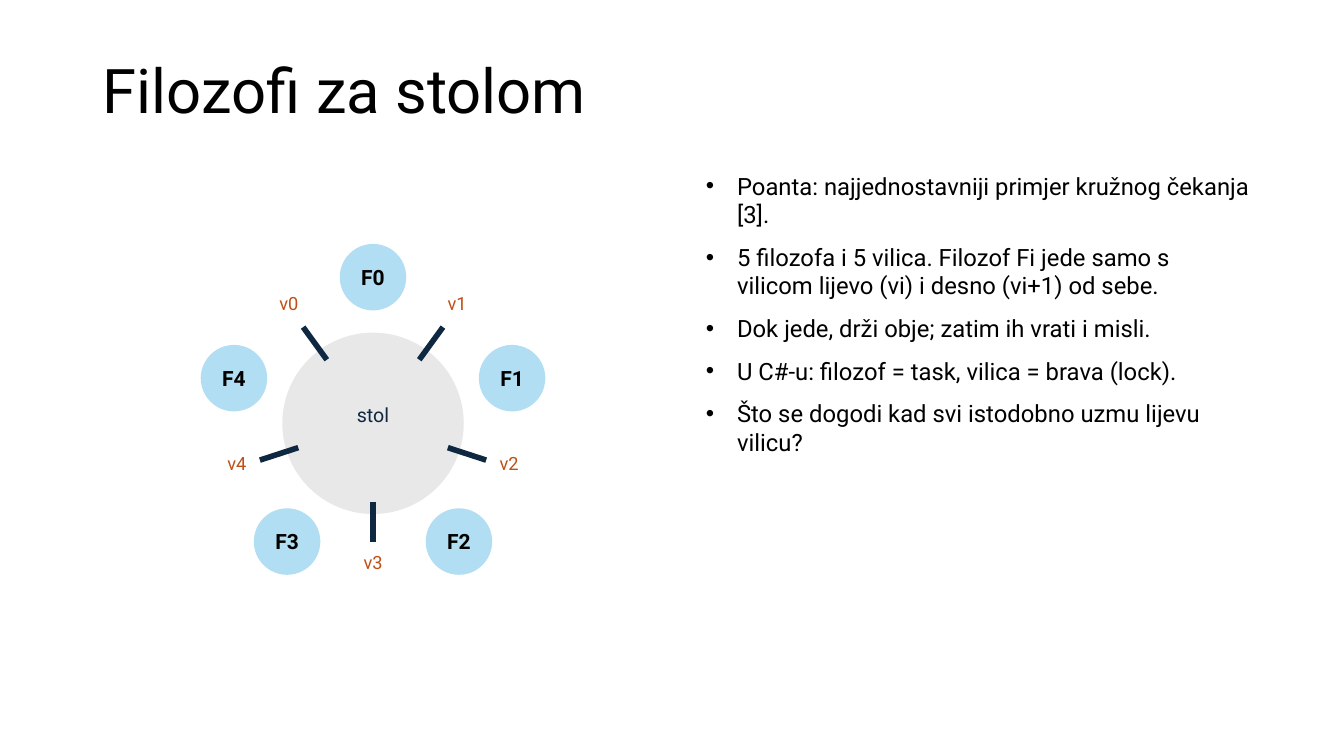
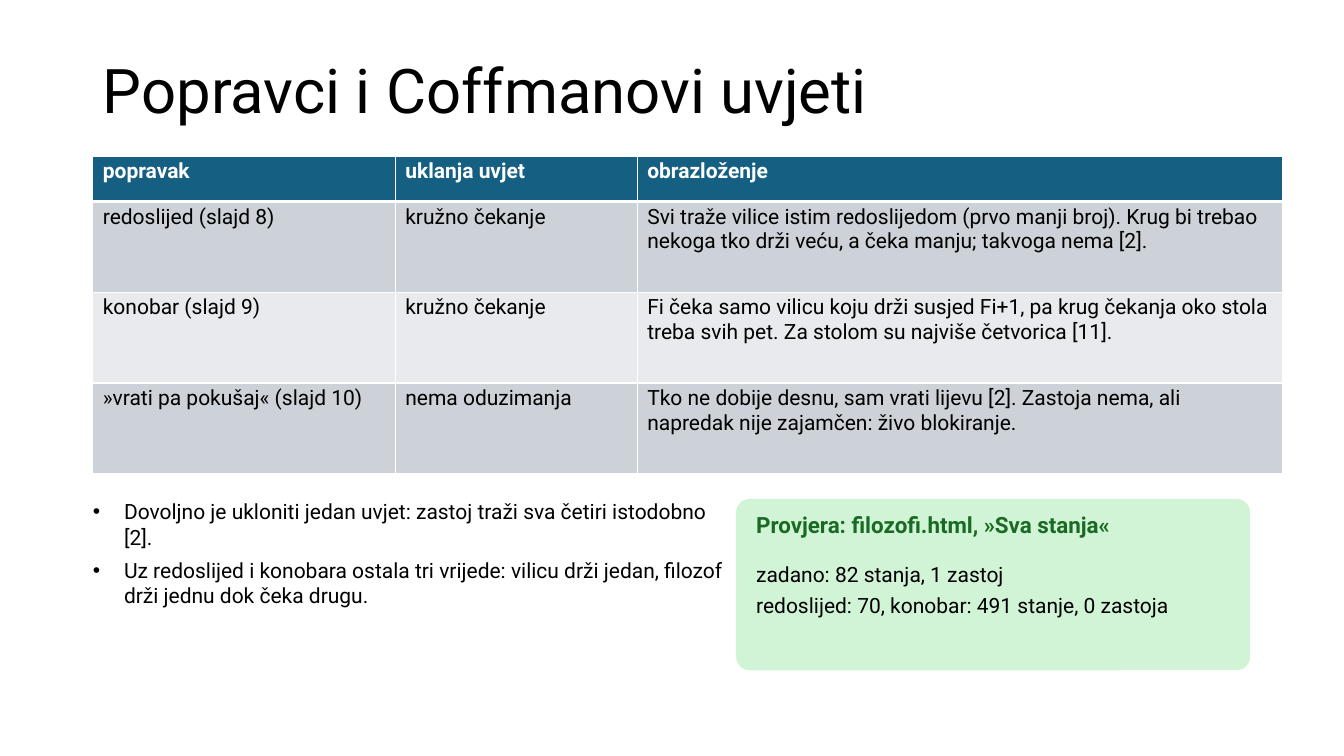
import math
import pptx
import pptx.util
import pptx.dml.color
import pptx.enum.shapes
import pptx.enum.text
import pptx.oxml
import pptx.oxml.ns

Inches = pptx.util.Inches
Pt = pptx.util.Pt
SHAPE = pptx.enum.shapes.MSO_SHAPE
ALIGN = pptx.enum.text.PP_ALIGN
ANCHOR = pptx.enum.text.MSO_ANCHOR

FONT = "Roboto"
BLACK, WHITE, NAVY = "000000", "FFFFFF", "0E2841"
GREY, SKY, RUST = "E8E8E8", "B2DEF3", "C04F15"
TEAL, MINT, GREEN = "156082", "D1F4D6", "196B24"
BANDS = "CCD2D8", "E8EAED"

RING = {
    "title": "Filozofi za stolom",
    "points": [
        "Poanta: najjednostavniji primjer kružnog čekanja [3].",
        "5 filozofa i 5 vilica. Filozof Fi jede samo s vilicom lijevo (vi) i desno (vi+1) od sebe.",
        "Dok jede, drži obje; zatim ih vrati i misli.",
        "U C#-u: filozof = task, vilica = brava (lock).",
        "Što se dogodi kad svi istodobno uzmu lijevu vilicu?",
    ],
    "box": (7, 1.7, 5.4, 4.8),
    "size": 17,
    "after": 10,
}
FIXES = {
    "title": "Popravci i Coffmanovi uvjeti",
    "points": [
        "Dovoljno je ukloniti jedan uvjet: zastoj traži sva četiri istodobno [2].",
        "Uz redoslijed i konobara ostala tri vrijede: vilicu drži jedan, filozof drži jednu dok čeka drugu.",
    ],
    "box": (0.92, 4.95, 6.4, 1.7),
    "size": 15,
    "after": 6,
}
ROWS = [
    ("popravak", "uklanja uvjet", "obrazloženje"),
    ("redoslijed (slajd 8)", "kružno čekanje",
     "Svi traže vilice istim redoslijedom (prvo manji broj). Krug bi trebao "
     "nekoga tko drži veću, a čeka manju; takvoga nema [2]."),
    ("konobar (slajd 9)", "kružno čekanje",
     "Fi čeka samo vilicu koju drži susjed Fi+1, pa krug čekanja oko stola "
     "treba svih pet. Za stolom su najviše četvorica [11]."),
    ("»vrati pa pokušaj« (slajd 10)", "nema oduzimanja",
     "Tko ne dobije desnu, sam vrati lijevu [2]. Zastoja nema, ali napredak "
     "nije zajamčen: živo blokiranje."),
]
WIDTHS = 3, 2.4, 6.4
HEIGHTS = 0.45, 0.9, 0.9, 0.9
CHECK = "Provjera: filozofi.html, »Sva stanja«"
COUNTS = ["zadano: 82 stanja, 1 zastoj", "redoslijed: 70, konobar: 491 stanje, 0 zastoja"]

SEATS = 5
HUB = 3.7, 4.2
SEAT_R, FORK_IN, FORK_OUT, TAG_R = 1.45, 0.78, 1.18, 1.42


def color(code):
    return pptx.dml.color.RGBColor.from_string(code)


def place(shape, box):
    shape.left, shape.top, shape.width, shape.height = map(Inches, box)


def inset(frame, side, edge):
    frame.margin_left = frame.margin_right = Inches(side)
    frame.margin_top = frame.margin_bottom = Inches(edge)


def write(frame, lines, size, code=BLACK, bold=False, align=ALIGN.LEFT, after=0):
    frame.text = "\n".join(lines)
    frame.word_wrap = True
    for para in frame.paragraphs:
        para.alignment = align
        para.space_before = Pt(0)
        para.space_after = Pt(after)
        for run in para.runs:
            font = run.font
            font.name, font.size, font.bold = FONT, Pt(size), bold
            font.color.rgb = color(code)


def label(slide, box, lines, size, code=BLACK, **style):
    frame = slide.shapes.add_textbox(*map(Inches, box)).text_frame
    inset(frame, 0, 0)
    write(frame, lines, size, code, **style)


def block(slide, kind, box, fill):
    shape = slide.shapes.add_shape(kind, *map(Inches, box))
    shape.shadow.inherit = False
    shape.fill.solid()
    shape.fill.fore_color.rgb = color(fill)
    shape.line.fill.background()
    return shape


def start(deck, data):
    slide = deck.slides.add_slide(deck.slide_layouts[1])
    title, body = slide.placeholders
    place(title, (0.92, 0.4, 11.5, 1.06))
    write(title.text_frame, [data["title"]], 44)
    title.text_frame.vertical_anchor = ANCHOR.MIDDLE
    title.text_frame.paragraphs[0].line_spacing = 0.9
    place(body, data["box"])
    frame = body.text_frame
    frame.auto_size = pptx.enum.text.MSO_AUTO_SIZE.NONE
    inset(frame, 0, 0)
    write(frame, data["points"], data["size"], after=data["after"])
    for para in frame.paragraphs:
        props = para._p.get_or_add_pPr()
        props.set("marL", str(Inches(0.31)))
        props.set("indent", str(-Inches(0.31)))
    return slide


def polar(radius, angle):
    turn = math.radians(angle)
    return HUB[0] + radius * math.cos(turn), HUB[1] + radius * math.sin(turn)


def around(point, width, height):
    return point[0] - width / 2, point[1] - height / 2, width, height


def draw_ring(slide):
    block(slide, SHAPE.OVAL, around(HUB, 1.8, 1.8), GREY)
    label(slide, around(HUB, 1, 0.4), ["stol"], 14, NAVY, align=ALIGN.CENTER)
    step = 360 / SEATS
    for i in range(SEATS):
        angle = step * i - 90
        seat = block(slide, SHAPE.OVAL, around(polar(SEAT_R, angle), 0.66, 0.66), SKY)
        inset(seat.text_frame, 0, 0.05)
        seat.text_frame.vertical_anchor = ANCHOR.MIDDLE
        write(seat.text_frame, [f"F{i}"], 15, bold=True, align=ALIGN.CENTER)
        angle -= step / 2
        ends = polar(FORK_IN, angle) + polar(FORK_OUT, angle)
        fork = slide.shapes.add_connector(
            pptx.enum.shapes.MSO_CONNECTOR.STRAIGHT, *map(Inches, ends))
        fork.line.color.rgb = color(NAVY)
        fork.line.width = Pt(4)
        fork._element.spPr.append(pptx.oxml.parse_xml(
            f"<a:effectLst {pptx.oxml.ns.nsdecls('a')}/>"))
        label(slide, around(polar(TAG_R, angle), 0.6, 0.3), [f"v{i}"], 13, RUST,
              align=ALIGN.CENTER)


def border(cell, low):
    props = cell._tc.get_or_add_tcPr()
    for at, (side, width) in enumerate(zip("LRTB", (1, 1, 1, low))):
        props.insert(at, pptx.oxml.parse_xml(
            f'<a:ln{side} {pptx.oxml.ns.nsdecls("a")} w="{Pt(width)}"><a:solidFill>'
            f'<a:srgbClr val="{WHITE}"/></a:solidFill></a:ln{side}>'))


def draw_table(slide):
    box = 0.92, 1.55, sum(WIDTHS), sum(HEIGHTS)
    table = slide.shapes.add_table(len(ROWS), len(WIDTHS), *map(Inches, box)).table
    for column, width in zip(table.columns, WIDTHS):
        column.width = Inches(width)
    for r, texts in enumerate(ROWS):
        table.rows[r].height = Inches(HEIGHTS[r])
        head = r == 0
        for c, text in enumerate(texts):
            cell = table.cell(r, c)
            inset(cell, 0.1, 0.03)
            write(cell.text_frame, [text], 15, WHITE if head else BLACK, bold=head)
            cell.fill.solid()
            cell.fill.fore_color.rgb = color(TEAL if head else BANDS[(r - 1) % 2])
            border(cell, 3 if head else 1)


def draw_check(slide):
    card = block(slide, SHAPE.ROUNDED_RECTANGLE, (7.3, 4.95, 5.1, 1.7), MINT)
    card.adjustments[0] = 0.08
    label(slide, (7.5, 5.07, 4.7, 0.45), [CHECK], 16, GREEN, bold=True)
    label(slide, (7.5, 5.57, 4.7, 1), COUNTS, 15, after=4)


def main():
    deck = pptx.Presentation()
    deck.slide_width, deck.slide_height = Inches(13.33), Inches(7.5)
    draw_ring(start(deck, RING))
    fixes = start(deck, FIXES)
    draw_table(fixes)
    draw_check(fixes)
    deck.save("out.pptx")


if __name__ == "__main__":
    main()
